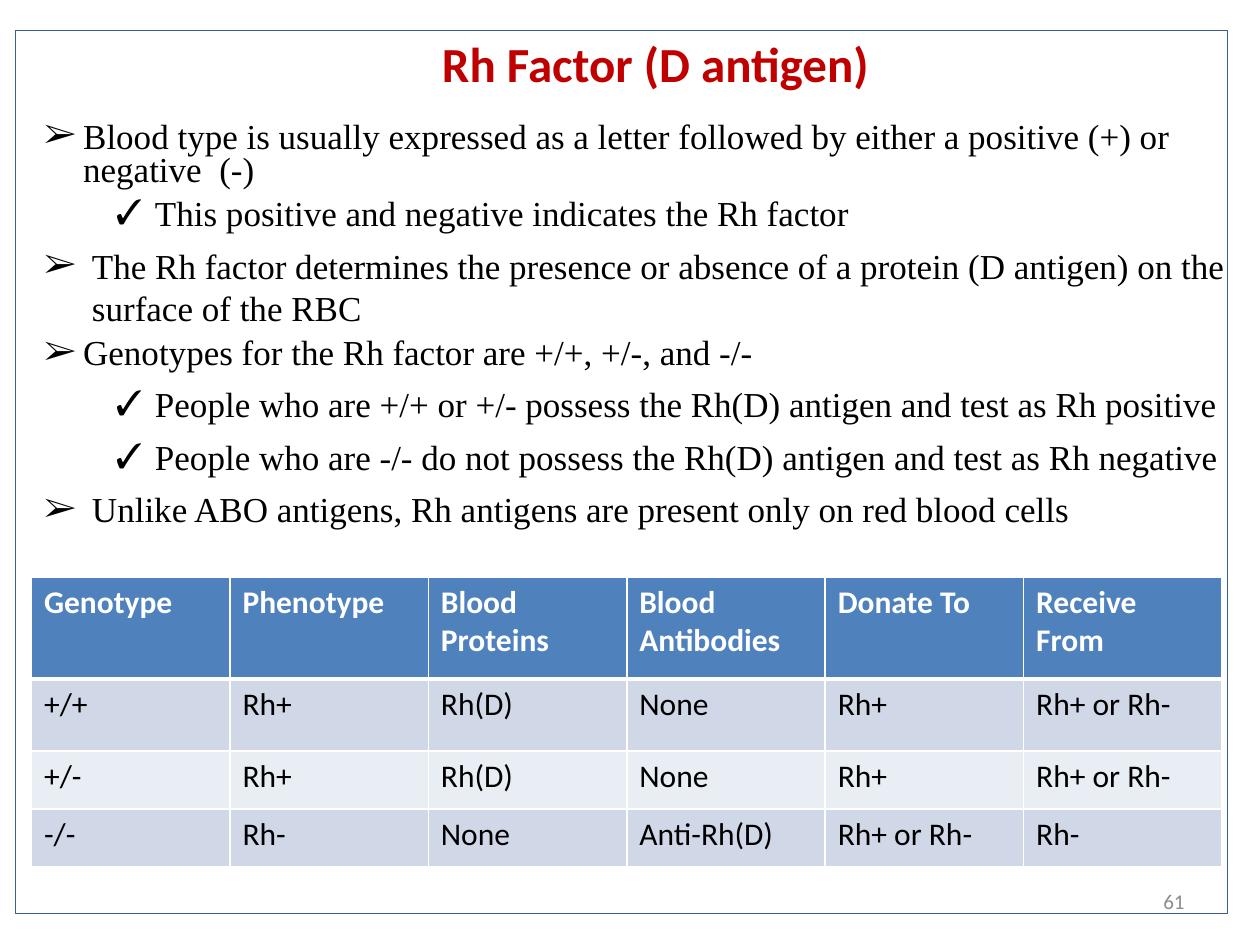
import pptx
import pptx.util
import pptx.dml.color
import pptx.enum.shapes
import pptx.enum.text
import pptx.oxml
import pptx.oxml.ns

Inches, Pt = pptx.util.Inches, pptx.util.Pt
ALIGN, ANCHOR = pptx.enum.text.PP_ALIGN, pptx.enum.text.MSO_ANCHOR

# Content
TITLE = "Rh Factor (D antigen)"
PAGE = "61"
POINTS = [  # level, line spacing, text
    ("point", 0.8, "Blood type is usually expressed as a letter followed by either "
                   "a positive (+) or negative  (-)"),
    ("check", 0.8, "This positive and negative indicates the Rh factor"),
    ("wide point", 1, "The Rh factor determines the presence or absence of a protein "
                      "(D antigen) on the surface of the RBC"),
    ("point", 0.8, "Genotypes for the Rh factor are +/+, +/-, and -/-"),
    ("check", 1, "People who are +/+ or +/- possess the Rh(D) antigen and test as Rh positive"),
    ("check", 1, "People who are -/- do not possess the Rh(D) antigen and test as Rh negative"),
    ("wide point", 1, "Unlike ABO antigens, Rh antigens are present only on red blood cells"),
]
LEVELS = {  # bullet, left margin, hanging indent
    "point": ("➢", 0.31, 0.31),
    "wide point": ("➢", 0.38, 0.38),
    "check": ("✓", 0.88, 0.31),
}
GENOTYPES = [
    ["Genotype", "Phenotype", "Blood Proteins", "Blood Antibodies", "Donate To", "Receive From"],
    ["+/+", "Rh+", "Rh(D)", "None", "Rh+", "Rh+ or Rh-"],
    ["+/-", "Rh+", "Rh(D)", "None", "Rh+", "Rh+ or Rh-"],
    ["-/-", "Rh-", "None", "Anti-Rh(D)", "Rh+ or Rh-", "Rh-"],
]
ROW_HEIGHTS = [0.81, 0.57, 0.46, 0.46]
TABLE_WIDTH = 9.45

THEME = {
    "heading": "C00000", "text": "000000", "muted": "8C8C8C", "white": "FFFFFF",
    "frame": "3A5F8C", "header": "4F81BD", "bands": ("D0D8E8", "E9EDF4"),
    "sans": "Calibri", "serif": "Times New Roman",
    "title size": 28, "body size": 20, "table size": 18, "page size": 12,
}


def rgb(value):
    return pptx.dml.color.RGBColor.from_string(value)


def box(left, top, width, height):
    return [Inches(length) for length in (left, top, width, height)]


def write(paragraph, text, size, font=THEME["sans"], color=THEME["text"],
          bold=False, align=ALIGN.LEFT, spacing=1.0, before=0):
    paragraph.alignment = align
    paragraph.line_spacing = spacing
    paragraph.space_before = Pt(before)
    run = paragraph.add_run()
    run.text = text
    run.font.size, run.font.name, run.font.bold = Pt(size), font, bold
    run.font.color.rgb = rgb(color)


def add_bullet(paragraph, mark, margin, hanging):
    properties = paragraph._p.get_or_add_pPr()
    properties.set("marL", str(Inches(margin)))
    properties.set("indent", str(-Inches(hanging)))
    font = pptx.oxml.ns.qn("a:buFont")
    properties.makeelement(font)
    for tag, name, value in (("buFont", "typeface", THEME["serif"]), ("buChar", "char", mark)):
        element = properties.makeelement(pptx.oxml.ns.qn("a:" + tag), {name: value})
        properties.append(element)


def add_borders(cell, bottom):
    properties = cell._tc.get_or_add_tcPr()
    widths = {"lnL": 1, "lnR": 1, "lnT": 1, "lnB": bottom}
    for position, (tag, width) in enumerate(widths.items()):
        properties.insert(position, pptx.oxml.parse_xml(
            f'<a:{tag} {pptx.oxml.ns.nsdecls("a")} w="{Pt(width)}"><a:solidFill>'
            f'<a:srgbClr val="{THEME["white"]}"/></a:solidFill></a:{tag}>'))


deck = pptx.Presentation()
deck.slide_width, deck.slide_height = Inches(10), Inches(7.5)
slide = deck.slides.add_slide(deck.slide_layouts[1])
heading, points = slide.placeholders

# Title
heading.left, heading.top, heading.width, heading.height = box(0.7, 0.32, 9, 1.25)
heading.text_frame.vertical_anchor = ANCHOR.TOP
heading.text_frame.margin_top = 0
heading.text_frame.auto_size = pptx.enum.text.MSO_AUTO_SIZE.NONE
write(heading.text_frame.paragraphs[0], TITLE, THEME["title size"], color=THEME["heading"],
      bold=True, align=ALIGN.CENTER, spacing=0.9)

# Bulleted points
points.left, points.top, points.width, points.height = box(0.25, 0.92, 9.75, 3.37)
points.text_frame.auto_size = pptx.enum.text.MSO_AUTO_SIZE.NONE
for index, (level, spacing, text) in enumerate(POINTS):
    frame = points.text_frame
    paragraph = frame.add_paragraph() if index else frame.paragraphs[0]
    write(paragraph, text, THEME["body size"], font=THEME["serif"], spacing=spacing, before=6)
    add_bullet(paragraph, *LEVELS[level])

# Genotype table
genotypes = slide.shapes.add_table(
    len(GENOTYPES), len(GENOTYPES[0]), *box(0.25, 4.58, TABLE_WIDTH, sum(ROW_HEIGHTS))).table
for column in genotypes.columns:
    column.width = Inches(TABLE_WIDTH / len(GENOTYPES[0]))
for r, (height, values) in enumerate(zip(ROW_HEIGHTS, GENOTYPES)):
    genotypes.rows[r].height = Inches(height)
    is_header = r == 0
    for c, value in enumerate(values):
        cell = genotypes.cell(r, c)
        cell.fill.solid()
        cell.fill.fore_color.rgb = rgb(THEME["header"] if is_header else THEME["bands"][(r - 1) % 2])
        add_borders(cell, bottom=3 if is_header else 1)
        write(cell.text_frame.paragraphs[0], value, THEME["table size"], bold=is_header,
              color=THEME["white"] if is_header else THEME["text"])

# Frame around the slide
frame = slide.shapes.add_shape(pptx.enum.shapes.MSO_SHAPE.RECTANGLE, *box(0.12, 0.24, 9.62, 7.01))
frame.shadow.inherit = False
frame.fill.background()
frame.line.color.rgb = rgb(THEME["frame"])
frame.line.width = Pt(0.5)

# Page number
page = slide.shapes.add_textbox(*box(7.17, 6.95, 2.33, 0.4)).text_frame
page.word_wrap = True
page.vertical_anchor = ANCHOR.MIDDLE
write(page.paragraphs[0], PAGE, THEME["page size"], color=THEME["muted"], align=ALIGN.RIGHT)

deck.save("out.pptx")
